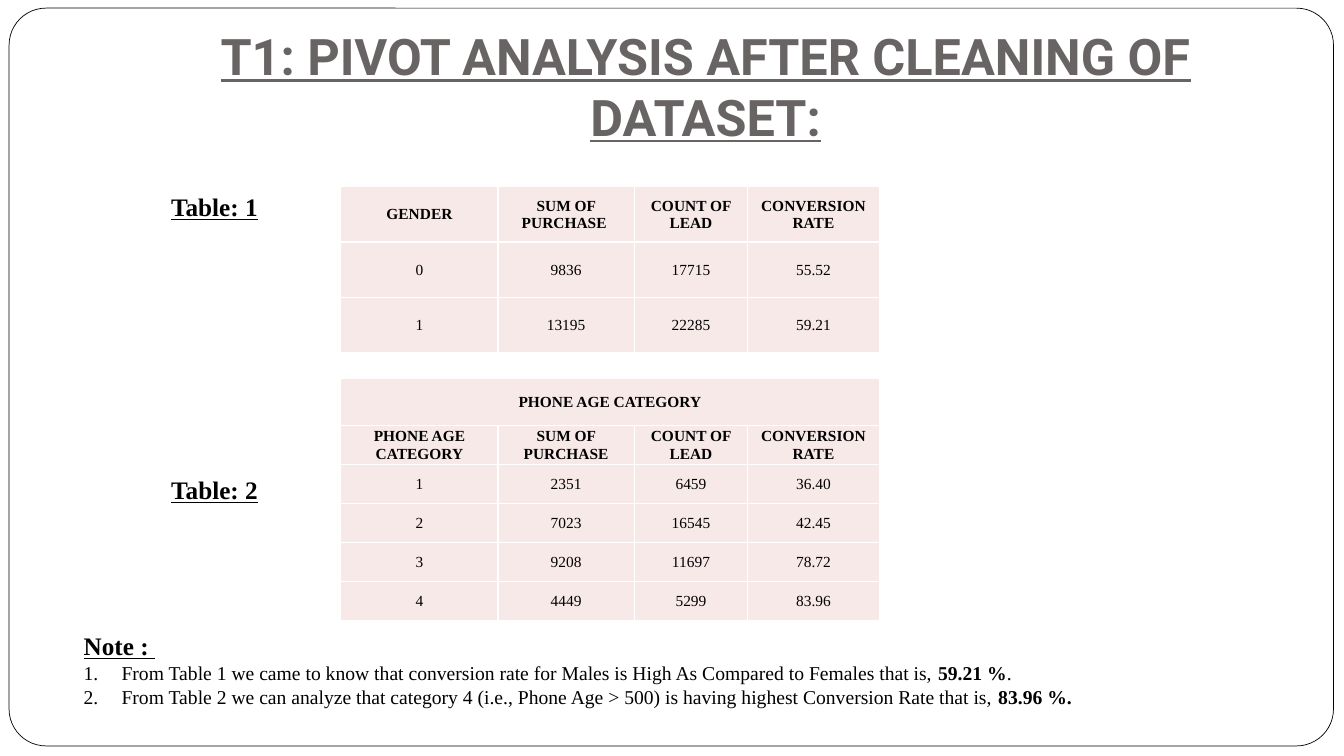
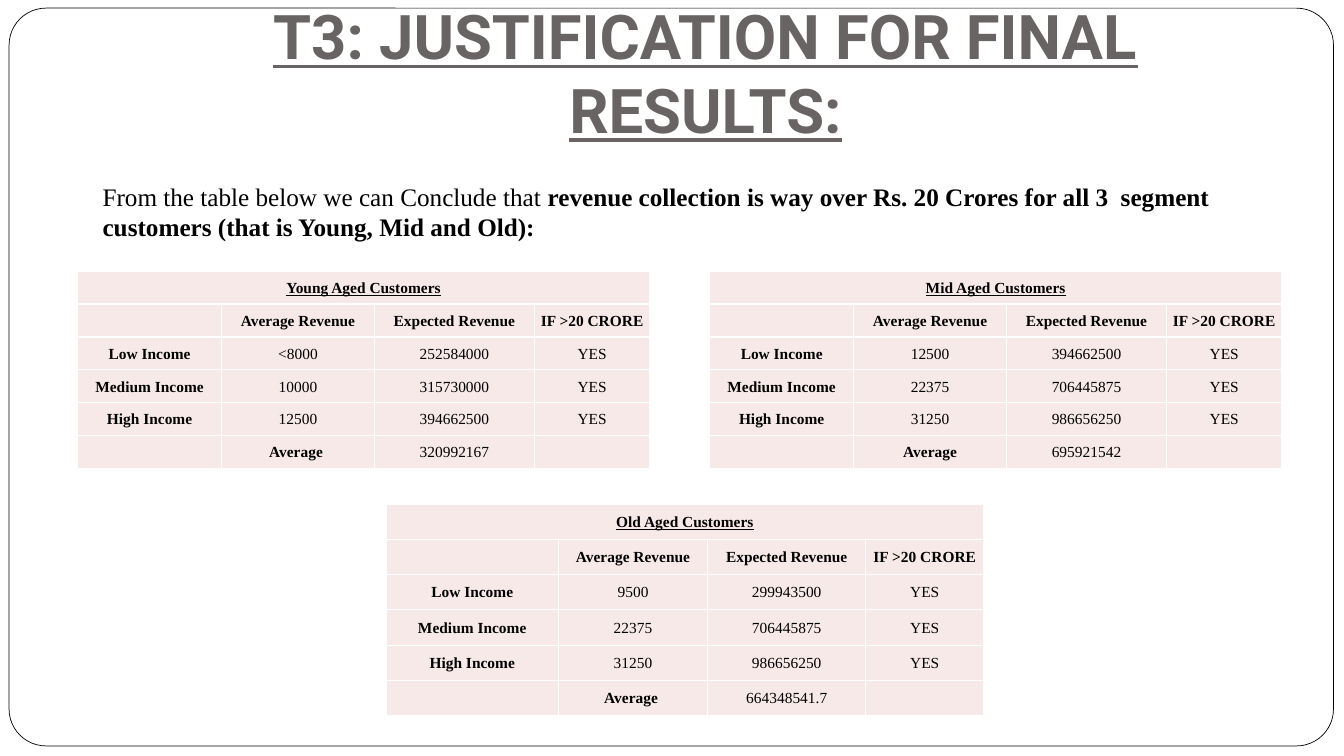
from lxml.etree import SubElement
from pptx import Presentation
from pptx.dml.color import RGBColor
from pptx.enum.shapes import MSO_SHAPE
from pptx.enum.text import MSO_ANCHOR, MSO_AUTO_SIZE, PP_ALIGN
from pptx.oxml.ns import qn
from pptx.util import Pt

# Shared colours and formats
WHITE = RGBColor(0xFF, 0xFF, 0xFF)
BLACK = RGBColor(0x00, 0x00, 0x00)
GREY = RGBColor(0x69, 0x64, 0x64)
PINK = RGBColor(0xF7, 0xE9, 0xE8)

SERIF = {"name": "Times New Roman", "bold": False, "underline": False}
TITLE = {"name": "Roboto", "bold": True, "underline": True}
BODY = SERIF | {"size": Pt(18)}
BODY_BOLD = BODY | {"bold": True}
HEADING = BODY_BOLD | {"underline": True}
NOTE = SERIF | {"size": Pt(14)}
NOTE_BOLD = NOTE | {"bold": True}
CELL = SERIF | {"size": Pt(11)}

TITLE_FRAME = {"vertical_anchor": MSO_ANCHOR.BOTTOM, "margin_bottom": Pt(7.2)}
GROWING_FRAME = {"auto_size": MSO_AUTO_SIZE.SHAPE_TO_FIT_TEXT}
CELL_FORMAT = {
    "vertical_anchor": MSO_ANCHOR.MIDDLE,
    "margin_left": Pt(0.72),
    "margin_right": Pt(0.72),
    "margin_top": Pt(0.72),
    "margin_bottom": Pt(0),
}
INDENT = Pt(27)

# Content of the pivot slide
GENDER_ROWS = [
    ("GENDER", "SUM OF PURCHASE ", "COUNT OF LEAD", "CONVERSION RATE"),
    ("0", "9836", "17715", "55.52"),
    ("1", "13195", "22285", "59.21"),
]
PHONE_ROWS = [
    ("PHONE AGE CATEGORY",),
    ("PHONE AGE CATEGORY", "SUM OF PURCHASE", "COUNT OF LEAD", "CONVERSION RATE"),
    ("1", "2351", "6459", "36.40"),
    ("2", "7023", "16545", "42.45"),
    ("3", "9208", "11697", "78.72"),
    ("4", "4449", "5299", "83.96"),
]
TABLE_LABELS = [("Table: 1", 133.2, 103), ("Table: 2", 335.5, 90)]
NOTES = [
    [("Note : ", HEADING)],
    [
        ("From Table 1 we came to know that conversion rate for Males is High "
         "As Compared to Females that is, ", NOTE),
        ("59.21 %", NOTE_BOLD),
        (".", NOTE),
    ],
    [
        ("From Table 2 we can analyze that category 4 (i.e., Phone Age > 500) "
         "is having highest Conversion Rate that is, ", NOTE),
        ("83.96 %.", NOTE_BOLD),
    ],
]

# Content of the justification slide
CONCLUSION = [[
    ("From the table below we can Conclude that ", BODY),
    ("revenue collection is way over Rs. 20 Crores for all 3  segment customers "
     "(that is Young, Mid and Old): ", BODY_BOLD),
]]
REVENUE_HEADER = ("", "Average Revenue", "Expected Revenue", "IF >20 CRORE")
INCOME_LEVELS = ("Low Income", "Medium Income", "High Income")
# Each: title, average revenues, expected revenues, average cells, left, top, columns, row height
SEGMENTS = [
    ("Old Aged Customers", ("9500", "22375", "31250"),
     ("299943500", "706445875", "986656250"), ("Average ", "664348541.7"),
     275.8, 360, (123.1, 106.6, 113, 84.2), 25.2),
    ("Young Aged Customers", ("<8000", "10000", "12500"),
     ("252584000", "315730000", "394662500"), ("Average ", "320992167"),
     55.4, 193.7, (103, 109, 114.5, 82.2), 23.52),
    ("Mid Aged Customers", ("12500", "22375", "31250"),
     ("394662500", "706445875", "986656250"), ("Average", "695921542"),
     506.9, 193.7, (103, 109, 114.5, 82.2), 23.52),
]


def apply_format(target, values):
    for name, value in values.items():
        setattr(target, name, value)


def add_run(paragraph, text, style, color=BLACK):
    run = paragraph.add_run()
    run.text = text
    apply_format(run.font, style)
    run.font.color.rgb = color


def number_paragraph(paragraph):
    properties = paragraph._p.get_or_add_pPr()
    properties.set("marL", str(INDENT))
    properties.set("indent", str(-INDENT))
    SubElement(properties, qn("a:buFont"), typeface="+mj-lt")
    SubElement(properties, qn("a:buAutoNum"), type="arabicPeriod")


def add_text(slide, box, paragraphs, frame_format, color=BLACK):
    text_frame = slide.shapes.add_textbox(*map(Pt, box)).text_frame
    text_frame.word_wrap = True
    apply_format(text_frame, frame_format)
    for index, runs in enumerate(paragraphs):
        paragraph = text_frame.add_paragraph() if index else text_frame.paragraphs[0]
        for text, style in runs:
            add_run(paragraph, text, style, color)
    return text_frame


def add_framed_slide(presentation, title, title_size):
    slide = presentation.slides.add_slide(presentation.slide_layouts[6])
    frame = slide.shapes.add_shape(
        MSO_SHAPE.ROUNDED_RECTANGLE, Pt(6.5), Pt(5.8), Pt(946), Pt(527))
    frame.adjustments[0] = 0.05
    frame.shadow.inherit = False
    frame.fill.solid()
    frame.fill.fore_color.rgb = WHITE
    frame.line.color.rgb = BLACK
    frame.line.width = Pt(0.5)
    title_style = TITLE | {"size": Pt(title_size)}
    text_frame = add_text(
        slide, (96, 21.6, 816, 90), [[(title, title_style)]], TITLE_FRAME, GREY)
    text_frame.paragraphs[0].alignment = PP_ALIGN.CENTER
    return slide


def format_cell(cell):
    apply_format(cell, CELL_FORMAT)
    properties = cell._tc.get_or_add_tcPr()
    for side in ("lnL", "lnR", "lnT", "lnB"):
        border = SubElement(properties, qn(f"a:{side}"), w=str(Pt(1)))
        fill = SubElement(border, qn("a:solidFill"))
        SubElement(fill, qn("a:srgbClr"), val=str(WHITE))
    cell.fill.solid()
    cell.fill.fore_color.rgb = PINK


def add_table(slide, left, top, columns, heights, rows, title_underline=False):
    """A row with a single entry spans all columns; words are bold, values are not."""
    table = slide.shapes.add_table(
        len(rows), len(columns), Pt(left), Pt(top),
        Pt(sum(columns)), Pt(sum(heights))).table
    table.first_row = table.horz_banding = False
    for column, width in zip(table.columns, columns):
        column.width = Pt(width)
    for row, height in zip(table.rows, heights):
        row.height = Pt(height)
    for cell in table.iter_cells():
        format_cell(cell)
    for row_index, texts in enumerate(rows):
        spans = len(texts) == 1
        if spans:
            table.cell(row_index, 0).merge(table.cell(row_index, len(columns) - 1))
        for column_index, text in enumerate(texts):
            paragraph = table.cell(row_index, column_index).text_frame.paragraphs[0]
            paragraph.alignment = PP_ALIGN.CENTER
            if text:
                bold = text[0].isalpha() and text != "YES"
                underline = spans and title_underline
                add_run(paragraph, text, CELL | {"bold": bold, "underline": underline})
            else:
                SubElement(paragraph._p, qn("a:endParaRPr"), sz="1100")


presentation = Presentation()
presentation.slide_width = Pt(960)
presentation.slide_height = Pt(540)

# Pivot analysis slide
pivot_slide = add_framed_slide(
    presentation, "T1: PIVOT ANALYSIS AFTER CLEANING OF DATASET:", 36)
pivot_columns = (112.3, 97.2, 81.2, 93.8)
add_table(pivot_slide, 243.5, 133.2, pivot_columns, [39.6] * 3, GENDER_ROWS)
add_table(pivot_slide, 243.5, 270.2, pivot_columns, [33.6] + [27.9] * 5, PHONE_ROWS)
for label, top, width in TABLE_LABELS:
    add_text(pivot_slide, (115.2, top, width, 29), [[(label, HEADING)]], GROWING_FRAME)
notes_frame = add_text(pivot_slide, (52.7, 447, 854, 63.4), NOTES, GROWING_FRAME)
for note in notes_frame.paragraphs[1:]:
    number_paragraph(note)

# Justification slide
result_slide = add_framed_slide(
    presentation, "T3: JUSTIFICATION FOR FINAL RESULTS:", 44)
add_text(result_slide, (66.2, 126, 835, 51), CONCLUSION, GROWING_FRAME)
for title, averages, expected, summary, left, top, columns, row_height in SEGMENTS:
    rows = [(title,), REVENUE_HEADER]
    rows += [(*values, "YES") for values in zip(INCOME_LEVELS, averages, expected)]
    rows.append(("", *summary, ""))
    add_table(result_slide, left, top, columns, [row_height] * len(rows), rows,
              title_underline=True)

presentation.save("out.pptx")
